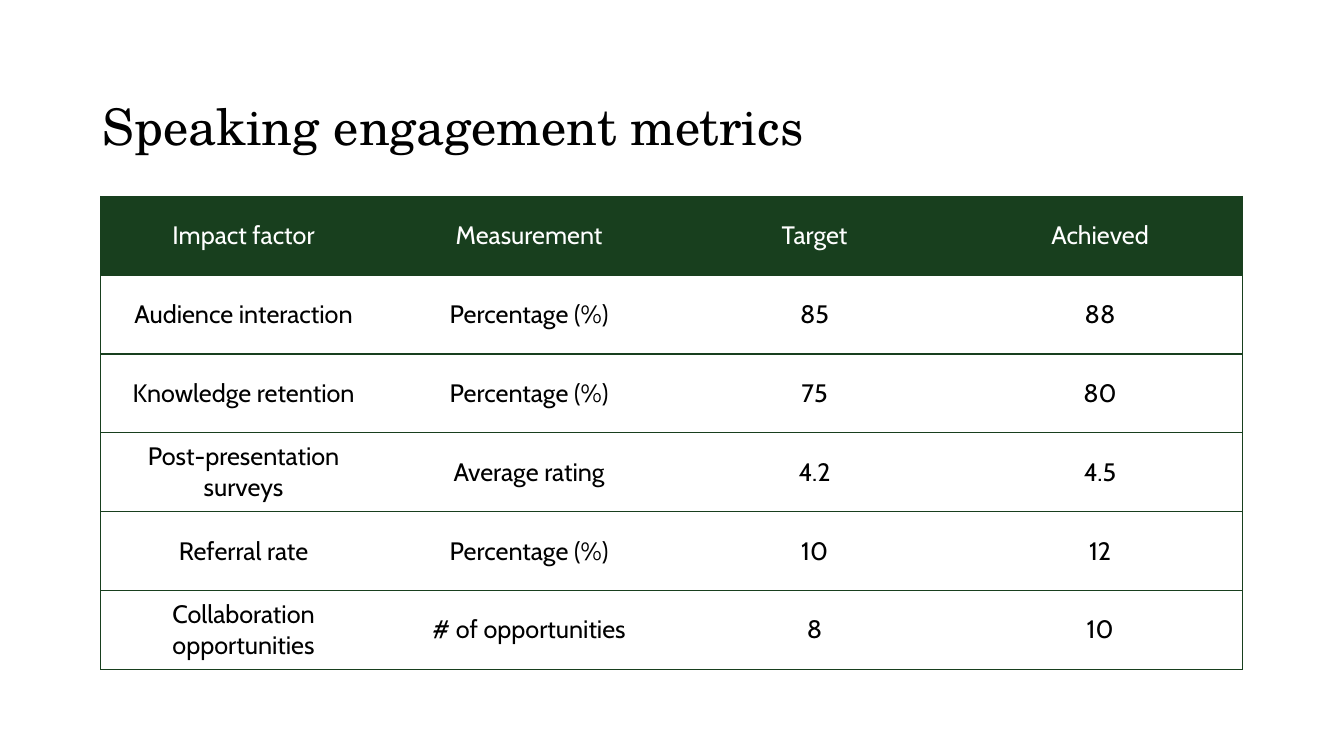
from dataclasses import dataclass

from lxml.etree import SubElement
from pptx import Presentation
from pptx.dml.color import RGBColor
from pptx.enum.text import MSO_ANCHOR, PP_ALIGN
from pptx.oxml.ns import qn
from pptx.util import Cm, Pt


@dataclass(frozen=True)
class Theme:
    """Colours, fonts and type sizes of the slide."""
    green: str = "183F1E"
    white: str = "FFFFFF"
    black: str = "000000"
    serif: str = "TeX Gyre Schola"
    sans: str = "Cabin"
    title: int = 36
    body: int = 18
    rule: int = 1


THEME = Theme()

ROWS = [
    ("Impact factor", "Measurement", "Target", "Achieved"),
    ("Audience interaction", "Percentage (%)", "85", "88"),
    ("Knowledge retention", "Percentage (%)", "75", "80"),
    ("Post-presentation surveys", "Average rating", "4.2", "4.5"),
    ("Referral rate", "Percentage (%)", "10", "12"),
    ("Collaboration opportunities", "# of opportunities", "8", "10"),
]


def style(para, face, size, color):
    """Format the runs of a paragraph."""
    for run in para.runs:
        run.font.name = face
        run.font.size = Pt(size)
        run.font.bold = False
        run.font.color.rgb = RGBColor.from_string(color)


def add_title(slide, text):
    """Add the slide title, resting on the bottom of its box."""
    box = slide.shapes.add_textbox(Cm(2.33), Cm(0.38), Cm(29.21), Cm(3.68))
    frame = box.text_frame
    frame.word_wrap = True
    frame.vertical_anchor = MSO_ANCHOR.BOTTOM
    frame.text = text
    para = frame.paragraphs[0]
    para.line_spacing = 0.9
    style(para, THEME.serif, THEME.title, THEME.black)


def set_edges(cell, shown):
    """Rule the shown sides of a cell and clear the others."""
    props = cell._tc.get_or_add_tcPr()
    for side in "LRTB":
        line = SubElement(props, qn(f"a:ln{side}"), w=str(Pt(THEME.rule)))
        if side in shown:
            fill = SubElement(line, qn("a:solidFill"))
            SubElement(fill, qn("a:srgbClr"), val=THEME.green)
        else:
            SubElement(line, qn("a:noFill"))


def fill_cell(cell, text, head, edges):
    """Write one cell with its rules, fill and centred text."""
    set_edges(cell, edges)
    if head:
        cell.fill.solid()
        cell.fill.fore_color.rgb = RGBColor.from_string(THEME.green)
    else:
        cell.fill.background()
    cell.vertical_anchor = MSO_ANCHOR.MIDDLE
    cell.text_frame.text = text
    para = cell.text_frame.paragraphs[0]
    para.alignment = PP_ALIGN.CENTER
    style(para, THEME.sans, THEME.body, THEME.white if head else THEME.black)


def add_grid(slide, rows):
    """Add the metrics table with equal rows and columns."""
    count = len(rows[0])
    frame = slide.shapes.add_table(
        len(rows), count, Cm(2.54), Cm(4.95), Cm(28.78), Cm(11.92))
    table = frame.table
    table.horz_banding = False
    for r, row in enumerate(rows):
        for c, text in enumerate(row):
            edges = "TB" + "L" * (c == 0) + "R" * (c == count - 1)
            fill_cell(table.cell(r, c), text, r == 0, edges)


def main():
    """Build and save the slide."""
    deck = Presentation()
    deck.slide_width, deck.slide_height = Cm(33.87), Cm(19.05)
    slide = deck.slides.add_slide(deck.slide_layouts[6])
    add_title(slide, "Speaking engagement metrics")
    add_grid(slide, ROWS)
    deck.save("out.pptx")


if __name__ == "__main__":
    main()
